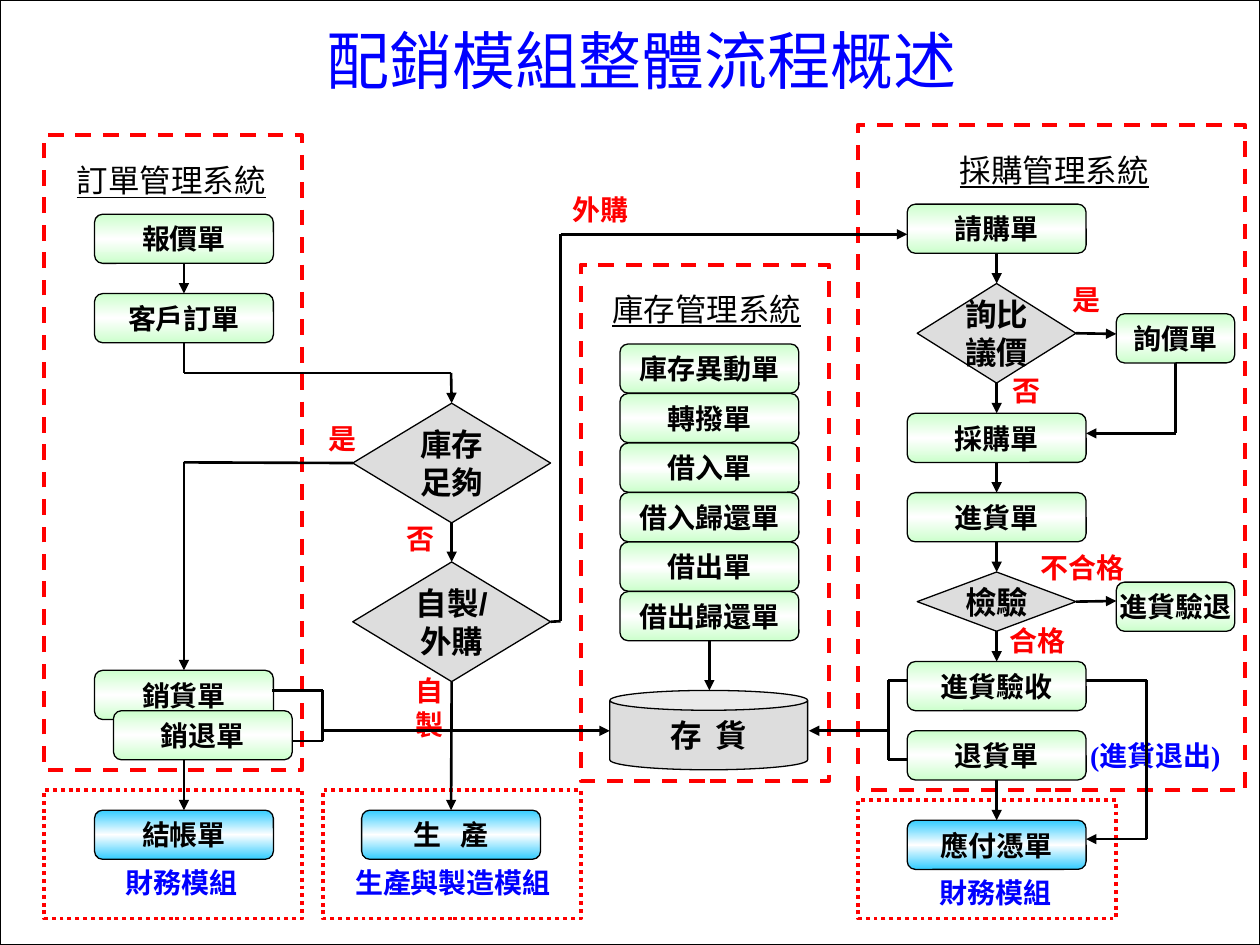
"""Build the distribution module flow overview slide."""
from copy import deepcopy

from lxml.etree import SubElement
from pptx import Presentation
from pptx.dml.color import RGBColor
from pptx.enum.dml import MSO_LINE
from pptx.enum.shapes import MSO_CONNECTOR, MSO_SHAPE
from pptx.enum.text import MSO_ANCHOR, MSO_AUTO_SIZE, PP_ALIGN
from pptx.oxml.ns import qn
from pptx.util import Inches, Pt

BLACK, RED, BLUE, GRAY = "000000", "FF0000", "0000FF", "DDDDDD"
GREEN, CYAN = "CCFFCC", "33CCFF"
ARIAL, TIMES, NOTO = "Arial", "Times New Roman", "Noto Sans CJK SC"


def rgb(value):
    return RGBColor.from_string(value)


def write(shape, text, size, color, font=ARIAL, bold=True, underline=None,
          align=PP_ALIGN.CENTER, anchor=MSO_ANCHOR.MIDDLE, wrap=False):
    frame = shape.text_frame
    frame.text = text
    frame.word_wrap = wrap
    frame.auto_size = MSO_AUTO_SIZE.NONE
    frame.vertical_anchor = anchor
    for paragraph in frame.paragraphs:
        paragraph.alignment = align
        for run in paragraph.runs:
            run.font.name = font
            run.font.size = Pt(size)
            run.font.bold = bold
            run.font.underline = underline
            run.font.color.rgb = rgb(color)


presentation = Presentation()
presentation.slide_width, presentation.slide_height = Inches(10), Inches(7.5)
slide = presentation.slides.add_slide(presentation.slide_layouts[5])
shapes = slide.shapes

title = shapes.title
title.left, title.top = Inches(0.59), Inches(0)
title.width, title.height = Inches(9), Inches(0.94)
write(title, "配銷模組整體流程概述", 36, BLUE, TIMES, bold=False, wrap=True)

backdrop = shapes.add_shape(MSO_SHAPE.RECTANGLE, 0, 0, Inches(10), Inches(7.5))
backdrop.shadow.inherit = False
backdrop.fill.solid()
backdrop.fill.fore_color.rgb = rgb("FFFFFF")
backdrop.line.color.rgb = rgb(BLACK)
backdrop.line.width = Pt(0.75)
title._element.addprevious(backdrop._element)

frames = [
    (0.35, 1.07, 2.05, 5.04, MSO_LINE.DASH),
    (4.61, 2.1, 1.97, 4.1, MSO_LINE.DASH),
    (6.81, 0.99, 3.07, 5.28, MSO_LINE.DASH),
    (0.35, 6.27, 2.05, 1.02, MSO_LINE.ROUND_DOT),
    (2.56, 6.27, 2.05, 1.02, MSO_LINE.ROUND_DOT),
    (6.81, 6.35, 2.05, 0.94, MSO_LINE.ROUND_DOT),
]
for left, top, width, height, dash in frames:
    frame_box = shapes.add_shape(MSO_SHAPE.RECTANGLE, Inches(left), Inches(top),
                                 Inches(width), Inches(height))
    frame_box.shadow.inherit = False
    frame_box.fill.background()
    frame_box.line.color.rgb = rgb(RED)
    frame_box.line.width = Pt(2.25)
    frame_box.line.dash_style = dash

systems = [("訂單管理系統", 0.51, 1.23), ("庫存管理系統", 4.76, 2.25),
           ("採購管理系統", 7.52, 1.15)]
for text, left, top in systems:
    heading = shapes.add_textbox(Inches(left), Inches(top), Inches(2.05), Inches(0.4))
    write(heading, text, 18, BLACK, bold=False, underline=True,
          align=PP_ALIGN.LEFT, anchor=MSO_ANCHOR.TOP, wrap=True)

modules = [("財務模組", 0.9, 6.82, 1.18), ("生產與製造模組", 2.72, 6.82, 1.81),
           ("財務模組", 7.36, 6.9, 1.18)]
for text, left, top, width in modules:
    module = shapes.add_textbox(Inches(left), Inches(top), Inches(width), Inches(0.37))
    write(module, text, 16, BLUE, TIMES, align=PP_ALIGN.LEFT,
          anchor=MSO_ANCHOR.TOP, wrap=True)

documents = [
    ("報價單", 0.75, 1.7, 1.42, GREEN), ("客戶訂單", 0.75, 2.33, 1.42, GREEN),
    ("銷貨單", 0.75, 5.32, 1.42, GREEN), ("銷退單", 0.9, 5.64, 1.42, GREEN),
    ("請購單", 7.2, 1.62, 1.42, GREEN), ("詢價單", 8.86, 2.49, 0.94, GREEN),
    ("採購單", 7.2, 3.28, 1.42, GREEN), ("進貨單", 7.2, 3.91, 1.42, GREEN),
    ("進貨驗退", 8.86, 4.62, 0.94, GREEN), ("進貨驗收", 7.2, 5.25, 1.42, GREEN),
    ("退貨單", 7.2, 5.8, 1.42, GREEN), ("結帳單", 0.75, 6.43, 1.42, CYAN),
    ("生   產", 2.87, 6.43, 1.42, CYAN), ("應付憑單", 7.2, 6.51, 1.42, CYAN),
]
stock_documents = ["庫存異動單", "轉撥單", "借入單", "借入歸還單", "借出單", "借出歸還單"]
for row, text in enumerate(stock_documents):
    documents.append((text, 4.92, 2.73 + row * 0.393, 1.42, GREEN))

nodes = {}
for text, left, top, width, color in documents:
    document = shapes.add_shape(MSO_SHAPE.ROUNDED_RECTANGLE, Inches(left), Inches(top),
                                Inches(width), Inches(0.39))
    document.shadow.inherit = False
    document.fill.gradient()
    document.fill.gradient_angle = 90
    stops = document._element.spPr.find(qn("a:gradFill")).find(qn("a:gsLst"))
    stops.insert(1, deepcopy(stops[0]))
    for stop, position, shade in zip(document.fill.gradient_stops, (0, 0.5, 1),
                                     (color, "FFFFFF", color)):
        stop.position = position
        stop.color.rgb = rgb(shade)
    document.line.color.rgb = rgb(BLACK)
    document.line.width = Pt(0.75)
    write(document, text, 16, BLACK)
    nodes[text] = document

gray_nodes = [
    ("庫存\n足夠", MSO_SHAPE.FLOWCHART_DECISION, 2.8, 3.2, 1.57, 0.95, ARIAL),
    ("自製/\n外購", MSO_SHAPE.FLOWCHART_DECISION, 2.8, 4.46, 1.57, 0.95, ARIAL),
    ("詢比\n議價", MSO_SHAPE.FLOWCHART_DECISION, 7.28, 2.25, 1.26, 0.79, ARIAL),
    ("檢驗", MSO_SHAPE.FLOWCHART_DECISION, 7.28, 4.54, 1.26, 0.47, ARIAL),
    ("存  貨", MSO_SHAPE.CAN, 4.84, 5.48, 1.57, 0.63, NOTO),
]
for text, preset, left, top, width, height, font in gray_nodes:
    node = shapes.add_shape(preset, Inches(left), Inches(top), Inches(width), Inches(height))
    node.shadow.inherit = False
    node.fill.solid()
    node.fill.fore_color.rgb = rgb(GRAY)
    node.line.color.rgb = rgb(BLACK)
    node.line.width = Pt(0.75)
    write(node, text, 18, BLACK, font)
    nodes[text] = node

labels = [
    ("是", 2.4, 3.28, 0.63, 0.39, RED, ARIAL), ("否", 3.02, 4.08, 0.63, 0.39, RED, ARIAL),
    ("自\n製", 3.25, 5.3, 0.32, 0.63, RED, ARIAL),
    ("外購", 4.45, 1.47, 0.63, 0.39, RED, ARIAL),
    ("是", 8.31, 2.18, 0.63, 0.39, RED, ARIAL), ("否", 7.83, 2.9, 0.63, 0.39, RED, ARIAL),
    ("不合格", 8.28, 4.31, 0.63, 0.39, RED, ARIAL),
    ("合格", 7.92, 4.89, 0.63, 0.39, RED, ARIAL),
    ("(進貨退出)", 8.62, 5.8, 1.1, 0.39, BLUE, TIMES),
]
for text, left, top, width, height, color, font in labels:
    label = shapes.add_textbox(Inches(left), Inches(top), Inches(width), Inches(height))
    write(label, text, 16, color, font)

TOP, LEFT, BOTTOM, RIGHT = range(4)
routes = [
    [("報價單", BOTTOM), ("客戶訂單", TOP)],
    [("客戶訂單", BOTTOM), (1.46, 2.96), (3.58, 2.96), ("庫存\n足夠", TOP)],
    [("庫存\n足夠", LEFT), (1.46, 3.67), ("銷貨單", TOP)],
    [("庫存\n足夠", BOTTOM), ("自製/\n外購", TOP)],
    [("自製/\n外購", BOTTOM), ("生   產", TOP)],
    [("自製/\n外購", RIGHT), (4.45, 4.93), (4.45, 1.86), (7.2, 1.86)],
    [(1.46, 6.03), ("結帳單", TOP)],
    [("請購單", BOTTOM), ("詢比\n議價", TOP)],
    [("詢比\n議價", BOTTOM), ("採購單", TOP)],
    [("詢比\n議價", RIGHT), (8.86, 2.65)],
    [("詢價單", BOTTOM), (9.33, 3.44), (8.62, 3.44)],
    [("採購單", BOTTOM), ("進貨單", TOP)],
    [("進貨單", BOTTOM), ("檢驗", TOP)],
    [("檢驗", BOTTOM), ("進貨驗收", TOP)],
    [("檢驗", RIGHT), (8.86, 4.77)],
    [("退貨單", BOTTOM), ("應付憑單", TOP)],
    [(8.62, 5.4), (9.1, 5.4), (9.1, 6.66), (8.62, 6.66)],
    [("借出歸還單", BOTTOM), (5.63, 5.48)],
    [(2.56, 5.8), (4.84, 5.8)],
    [(7.05, 5.8), (6.42, 5.8)],
]
brackets = [
    [(2.16, 5.48), (2.56, 5.48), (2.56, 5.88), (2.32, 5.88)],
    [(7.2, 5.4), (7.05, 5.4), (7.05, 6.03), (7.2, 6.03)],
]
for route in routes + brackets:
    for index, (start, end) in enumerate(zip(route, route[1:])):
        points = [(0, 0) if point[0] in nodes else point for point in (start, end)]
        connector = shapes.add_connector(
            MSO_CONNECTOR.STRAIGHT, *[Inches(value) for point in points for value in point])
        if start[0] in nodes:
            connector.begin_connect(nodes[start[0]], start[1])
        if end[0] in nodes:
            connector.end_connect(nodes[end[0]], end[1])
        connector.line.color.rgb = rgb(BLACK)
        connector.line.width = Pt(1.5)
        if route in routes and index == len(route) - 2:
            SubElement(connector.line._get_or_add_ln(), qn("a:tailEnd"), type="triangle")
        SubElement(connector._element.spPr, qn("a:effectLst"))

presentation.save("out.pptx")
